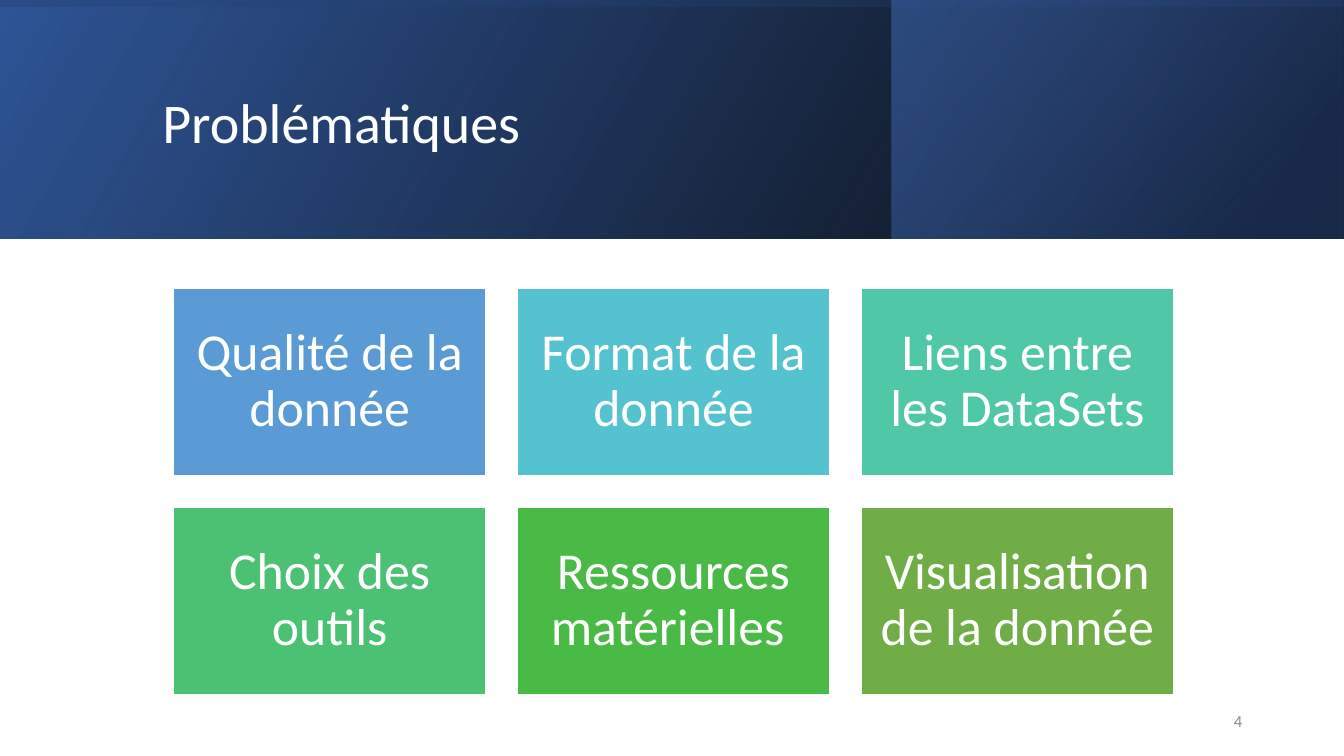
from typing import NamedTuple

from lxml.etree import SubElement
from pptx import Presentation
from pptx.dml.color import RGBColor
from pptx.enum.shapes import MSO_SHAPE as Shape
from pptx.enum.text import MSO_ANCHOR as Anchor, PP_ALIGN as Align
from pptx.oxml.ns import qn
from pptx.util import Inches, Pt


class Stop(NamedTuple):
    place: float
    color: str
    alpha: int


class Band(NamedTuple):
    left: float
    top: float
    width: float
    height: float
    turn: int
    angle: int
    stops: tuple[Stop, Stop]


class Tile(NamedTuple):
    text: str
    color: str


BANDS = (
    Band(0, 0, 13.33, 2.37, 0, 30,
         (Stop(0, "000000", 96), Stop(1, "2F5597", 100))),
    Band(8.84, 0, 4.48, 2.37, 0, 40,
         (Stop(0.19, "203864", 68), Stop(1, "4472C4", 48))),
    Band(5.48, -5.48, 2.37, 13.33, 270, 10,
         (Stop(0.23, "2F5597", 16), Stop(0.99, "000000", 45))),
)
BANDS = (BANDS[0]._replace(stops=(Stop(0, "000000", 96), Stop(1, "2F5597", 100))),) + BANDS[1:]
TILES = (
    Tile("Qualité de la donnée", "5B9BD5"),
    Tile("Format de la donnée", "55C3CF"),
    Tile("Liens entre les DataSets", "50C8A7"),
    Tile("Choix des outils", "4BC174"),
    Tile("Ressources matérielles ", "4ABA46"),
    Tile("Visualisation de la donnée", "70AD47"),
)
COLS = 3
LEFT, TOP = 1.72, 2.86
WIDE, HIGH = 3.1, 1.86
GAP = 0.31


def paint(target, color: str) -> None:
    target.rgb = RGBColor.from_string(color)


def write(frame, text: str, size: float, color: str, align: Align) -> None:
    frame.text = text
    frame.word_wrap = True
    frame.vertical_anchor = Anchor.MIDDLE
    line = frame.paragraphs[0]
    line.alignment = align
    line.font.name = "Calibri"
    line.font.size = Pt(size)
    paint(line.font.color, color)


def add_box(slide, left: float, top: float, width: float, height: float):
    box = slide.shapes.add_shape(
        Shape.RECTANGLE, Inches(left), Inches(top), Inches(width), Inches(height))
    box.shadow.inherit = False
    return box


def add_band(slide, band: Band) -> None:
    box = add_box(slide, band.left, band.top, band.width, band.height)
    box.rotation = band.turn
    box._element.spPr.xfrm.set("flipH", "1")
    box.line.fill.background()
    box.fill.gradient()
    box.fill.gradient_angle = band.angle
    for stop, item in zip(box.fill.gradient_stops, band.stops):
        stop.position = item.place
        paint(stop.color, item.color)
    for node, item in zip(box._element.spPr.iter(qn("a:srgbClr")), band.stops):
        SubElement(node, qn("a:alpha")).set("val", str(item.alpha * 1000))


def add_tile(slide, index: int, tile: Tile) -> None:
    row, col = divmod(index, COLS)
    box = add_box(slide, LEFT + col * (WIDE + GAP), TOP + row * (HIGH + GAP), WIDE, HIGH)
    box.fill.solid()
    paint(box.fill.fore_color, tile.color)
    paint(box.line.color, "FFFFFF")
    box.line.width = Pt(1)
    frame = box.text_frame
    frame.margin_left = frame.margin_right = Inches(0.15)
    frame.margin_top = frame.margin_bottom = Inches(0.15)
    write(frame, tile.text, 37, "FFFFFF", Align.CENTER)
    frame.paragraphs[0].line_spacing = 0.9


deck = Presentation()
deck.slide_width, deck.slide_height = Inches(13.33), Inches(7.5)
slide = deck.slides.add_slide(deck.slide_layouts[5])

for band in BANDS:
    add_band(slide, band)

title = slide.shapes.title
title.left, title.top = Inches(1.51), Inches(0.38)
title.width, title.height = Inches(10.63), Inches(1.72)
write(title.text_frame, "Problématiques", 40, "FFFFFF", Align.LEFT)
title.text_frame.paragraphs[0].line_spacing = 0.9
slide.shapes._spTree.append(title._element)

for index, tile in enumerate(TILES):
    add_tile(slide, index, tile)

number = slide.shapes.add_textbox(Inches(9.42), Inches(6.95), Inches(3), Inches(0.4))
write(number.text_frame, "4", 12, "8C8C8C", Align.RIGHT)

deck.save("out.pptx")
